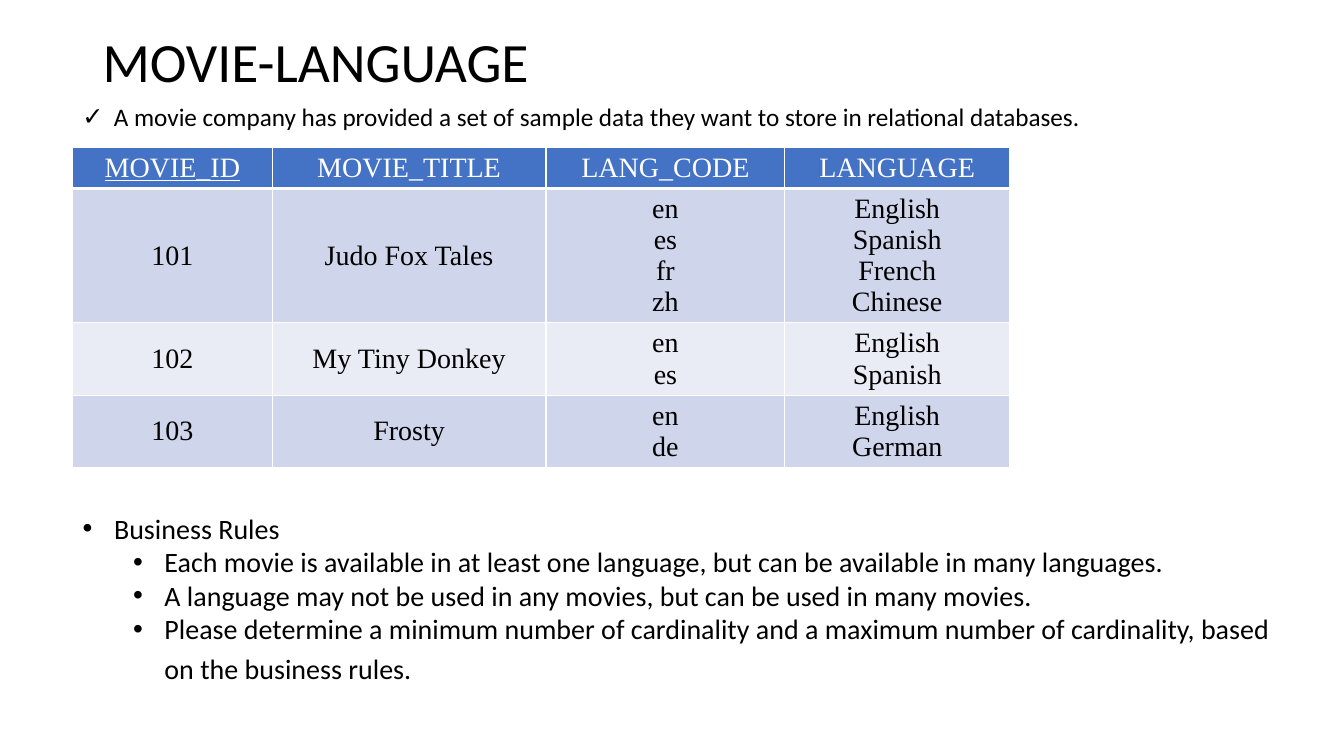
from lxml.etree import SubElement
from pptx import Presentation
from pptx.dml.color import RGBColor
from pptx.enum.text import MSO_ANCHOR, MSO_AUTO_SIZE, PP_ALIGN
from pptx.oxml.ns import qn
from pptx.util import Cm, Pt

TITLE = "MOVIE-LANGUAGE"
INTRO = [(0, ["A movie company has provided a set of sample data they want "
              "to store in relational databases."])]
HEADS = ["MOVIE_ID", "MOVIE_TITLE", "LANG_CODE", "LANGUAGE"]
FILMS = [
    ("101", "Judo Fox Tales", ["en", "es", "fr", "zh"]),
    ("102", "My Tiny Donkey", ["en", "es"]),
    ("103", "Frosty", ["en", "de"]),
]
TONGUES = {"en": "English", "es": "Spanish", "fr": "French",
           "zh": "Chinese", "de": "German"}
RULES = [
    (0, ["Business Rules"]),
    (1, ["Each movie is available in at least one language, "
         "but can be available in many languages."]),
    (1, ["A language may not be used in any movies, "
         "but can be used in many movies."]),
    (1, ["Please determine a minimum number of cardinality and a maximum "
         "number of cardinality, based on the business rules.", " "]),
]
WIDTHS = [5.03, 6.9, 6.02, 5.66]
LEFT = 1.83
HANG = 0.79
STEP = 1.27
BLACK, WHITE, BLUE = "000000", "FFFFFF", "4472C4"
BANDS = ["CFD5EA", "E9EBF5"]


def color(code):
    return RGBColor.from_string(code)


def add_run(para, text, size, font="Calibri", ink=BLACK):
    run = para.add_run()
    run.text = text
    run.font.name = font
    run.font.size = Pt(size)
    run.font.color.rgb = color(ink)
    return run


def place(shape, left, top, width, height):
    shape.left, shape.top = Cm(left), Cm(top)
    shape.width, shape.height = Cm(width), Cm(height)


def next_para(frame, index):
    return frame.paragraphs[0] if index == 0 else frame.add_paragraph()


def fill_list(frame, items, mark, size):
    frame.word_wrap = True
    frame.auto_size = MSO_AUTO_SIZE.NONE
    frame.vertical_anchor = MSO_ANCHOR.TOP
    for i, (level, texts) in enumerate(items):
        para = next_para(frame, i)
        para.level = level
        para.line_spacing = 1.0
        para.space_before = Pt(0)
        props = para._p.get_or_add_pPr()
        props.set("marL", str(Cm(HANG + level * STEP)))
        props.set("indent", str(-Cm(HANG)))
        SubElement(props, qn("a:buFont"), typeface="Arial")
        SubElement(props, qn("a:buChar"), char=mark)
        for text in texts:
            add_run(para, text, 24 if text == " " else size)


def edge(cell, base):
    """Draw white borders; base is the width of the bottom one."""
    props = cell._tc.get_or_add_tcPr()
    for side, width in (("L", 1), ("R", 1), ("T", 1), ("B", base)):
        line = SubElement(props, qn("a:ln" + side), w=str(Pt(width)))
        paint = SubElement(line, qn("a:solidFill"))
        SubElement(paint, qn("a:srgbClr"), val=WHITE)


def fill_cell(cell, lines, back, ink, base=1):
    edge(cell, base)
    cell.fill.solid()
    cell.fill.fore_color.rgb = color(back)
    cell.vertical_anchor = MSO_ANCHOR.MIDDLE
    for i, text in enumerate(lines):
        para = next_para(cell.text_frame, i)
        para.alignment = PP_ALIGN.CENTER
        run = add_run(para, text, 20, "Times New Roman", ink)
        if text == HEADS[0]:
            run.font.underline = True


def add_grid(slide):
    rows = [[[head] for head in HEADS]]
    for key, name, codes in FILMS:
        rows.append([[key], [name], codes, [TONGUES[c] for c in codes]])
    highs = [0.2 + 0.64 * max(map(len, row)) for row in rows]
    grid = slide.shapes.add_table(
        len(rows), len(HEADS), Cm(LEFT), Cm(3.71),
        Cm(sum(WIDTHS)), Cm(sum(highs))).table
    for col, width in zip(grid.columns, WIDTHS):
        col.width = Cm(width)
    for r, row in enumerate(rows):
        grid.rows[r].height = Cm(highs[r])
        for c, lines in enumerate(row):
            if r == 0:
                fill_cell(grid.cell(r, c), lines, BLUE, WHITE, 3)
            else:
                fill_cell(grid.cell(r, c), lines, BANDS[(r - 1) % 2], BLACK)


def main():
    deck = Presentation()
    deck.slide_width, deck.slide_height = Cm(33.87), Cm(19.05)
    slide = deck.slides.add_slide(deck.slide_layouts[1])

    title = slide.shapes.title
    place(title, 2.33, 1.02, 29.21, 1.2)
    frame = title.text_frame
    frame.auto_size = MSO_AUTO_SIZE.NONE
    frame.vertical_anchor = MSO_ANCHOR.MIDDLE
    para = frame.paragraphs[0]
    para.alignment = PP_ALIGN.LEFT
    para.line_spacing = 0.9
    add_run(para, TITLE, 39.6)

    add_grid(slide)

    intro = slide.shapes.add_textbox(Cm(LEFT), Cm(2.44), Cm(26.62), Cm(1.02))
    fill_list(intro.text_frame, INTRO, "✓", 18)

    body = slide.placeholders[1]
    place(body, LEFT, 12.75, 30.48, 4.7)
    body.fill.solid()
    body.fill.fore_color.rgb = color(WHITE)
    fill_list(body.text_frame, RULES, "•", 20)

    deck.save("out.pptx")


if __name__ == "__main__":
    main()
